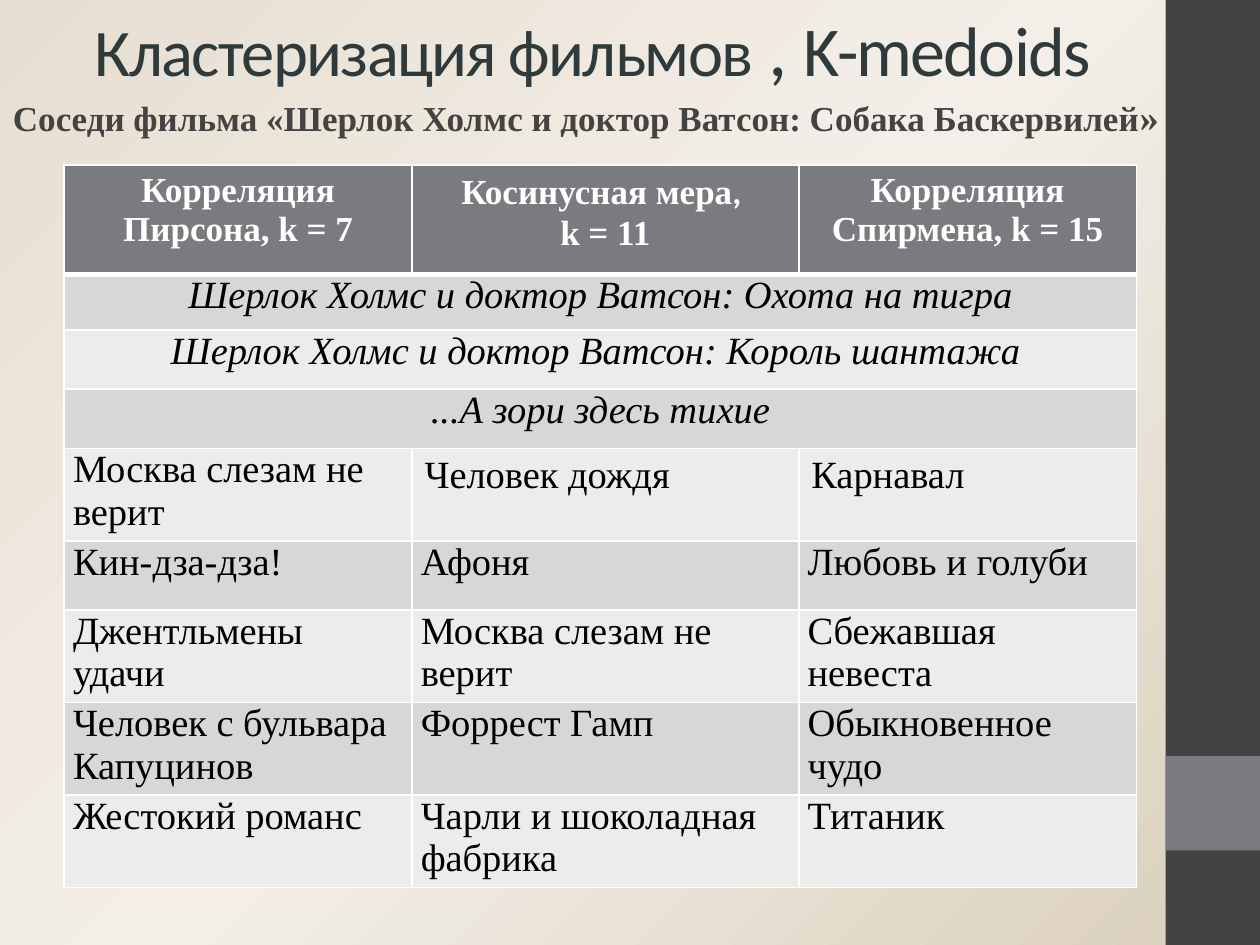
from lxml import etree
from pptx import Presentation, util as u
from pptx.dml.color import RGBColor
from pptx.enum import shapes, text
from pptx.oxml import parse_xml
from pptx.oxml.ns import nsdecls, qn

COLORS = {
    "title": "2E3A3C", "dark": "434342", "gray": "797B7E", "white": "FFFFFF",
    "black": "000000", "band": "D7D7D8", "light": "ECECEC",
}
BACKGROUND = [(0, "E7DED1"), (50, "F3EFE8"), (100, "DACEBB")]
SERIF, SANS = "Times New Roman", "Calibri"
CENTER, LEFT = text.PP_ALIGN.CENTER, text.PP_ALIGN.LEFT

HEADERS = [
    [[("Корреляция Пирсона, k = 7", SERIF)]],
    [[("Косинусная мера", SERIF), (", ", SANS)], [("k = 11", SERIF)]],
    [[("Корреляция Спирмена, k = 15", SERIF)]],
]
COMMON_FILMS = [
    "Шерлок Холмс и доктор Ватсон: Охота на тигра",
    "Шерлок Холмс и доктор Ватсон: Король шантажа ",
    "...А зори здесь тихие",
]
FILMS = [
    ["Москва слезам не верит", "Человек дождя", "Карнавал"],
    ["Кин-дза-дза!", "Афоня", "Любовь и голуби"],
    ["Джентльмены удачи", "Москва слезам не верит", "Сбежавшая невеста"],
    ["Человек с бульвара Капуцинов", "Форрест Гамп", "Обыкновенное чудо"],
    ["Жестокий романс", "Чарли и шоколадная фабрика", "Титаник"],
]
COLUMNS = [2.76, 3.07, 2.68]
ROWS = [0.87, 0.44, 0.47, 0.47] + [0.55] * len(FILMS)


def color(name):
    return RGBColor.from_string(COLORS[name])


class SlideBuilder:
    def __init__(self, page):
        self.page = page

    def style(self, font, size=None, ink=None, face=None, bold=None, italic=None):
        if size:
            font.size = u.Pt(size)
        if ink:
            font.color.rgb = color(ink)
        if face:
            font.name = face
        font.bold, font.italic = bold, italic

    def background(self, stops, angle):
        fill = self.page.background.fill
        fill.gradient()
        gradient = self.page.background._cSld.find(".//" + qn("a:gradFill"))
        for child in list(gradient):
            gradient.remove(child)
        stop_list = etree.SubElement(gradient, qn("a:gsLst"))
        for position, value in stops:
            stop = etree.SubElement(stop_list, qn("a:gs"), pos=str(position * 1000))
            etree.SubElement(stop, qn("a:srgbClr"), val=value)
        etree.SubElement(gradient, qn("a:lin"), ang=str(angle * 60000), scaled="0")

    def rectangle(self, place, fill):
        shape = self.page.shapes.add_shape(
            shapes.MSO_SHAPE.RECTANGLE, *map(u.Inches, place))
        shape.shadow.inherit = False
        shape.fill.solid()
        shape.fill.fore_color.rgb = color(fill)
        shape.line.fill.background()

    def textbox(self, place, spans, anchor, **style):
        box = self.page.shapes.add_textbox(*map(u.Inches, place))
        frame = box.text_frame
        frame.word_wrap = True
        frame.vertical_anchor = anchor
        para = frame.paragraphs[0]
        para.alignment = CENTER
        for words, size in spans:
            span = para.add_run()
            span.text = words
            self.style(span.font, size, **style)
        return para

    def text_shadow(self, para, spacing):
        for span in para.runs:
            props = span._r.get_or_add_rPr()
            props.set("spc", str(spacing * 100))
            effect = parse_xml(
                f'<a:effectLst {nsdecls("a")}><a:outerShdw blurRad="50800" dist="38100" '
                'dir="2700000"><a:srgbClr val="000000"><a:alpha val="40000"/>'
                '</a:srgbClr></a:outerShdw></a:effectLst>')
            props.find(qn("a:solidFill")).addnext(effect)

    def table(self, left, top, columns, rows):
        frame = self.page.shapes.add_table(
            len(rows), len(columns), u.Inches(left), u.Inches(top),
            u.Inches(sum(columns)), u.Inches(sum(rows)))
        table = frame.table
        for column, width in zip(table.columns, columns):
            column.width = u.Inches(width)
        for row, height in zip(table.rows, rows):
            row.height = u.Inches(height)
        return table

    def cell(self, cell, fill, bottom=1, top=1):
        cell.fill.solid()
        cell.fill.fore_color.rgb = color(fill)
        props = cell._tc.get_or_add_tcPr()
        widths = {"lnL": 1, "lnR": 1, "lnT": top, "lnB": bottom}
        for index, (side, width) in enumerate(widths.items()):
            props.insert(index, parse_xml(
                f'<a:{side} {nsdecls("a")} w="{u.Pt(width)}"><a:solidFill>'
                f'<a:srgbClr val="{COLORS["white"]}"/></a:solidFill></a:{side}>'))

    def cell_text(self, cell, words, align, tight=True, italic=False):
        if tight:
            cell.margin_left = cell.margin_right = u.Inches(0.07)
            cell.margin_top = cell.margin_bottom = 0
        para = cell.text_frame.paragraphs[0]
        para.add_run().text = words
        para.alignment = align
        self.style(para.font, 22, "black", SERIF, False, italic)

    def header_text(self, cell, lines):
        frame = cell.text_frame
        for index, line in enumerate(lines):
            para = frame.add_paragraph() if index else frame.paragraphs[0]
            para.alignment = CENTER
            self.style(para.font, 20, "white", bold=True)
            for words, face in line:
                span = para.add_run()
                span.text = words
                span.font.name = face


def main():
    deck = Presentation()
    deck.slide_width, deck.slide_height = u.Inches(10), u.Inches(7.5)
    page = deck.slides.add_slide(deck.slide_layouts[6])
    builder = SlideBuilder(page)

    # Background and side bar
    builder.background(BACKGROUND, 45)
    builder.rectangle((9.25, 0, 0.75, 7.5), "dark")
    builder.rectangle((9.25, 6, 0.75, 0.75), "gray")

    # Title and subtitle
    title = builder.textbox(
        (-0.12, -0.11, 9.65, 0.94),
        [("Кластеризация фильмов", 38), (" , ", 44), ("K-medoids", 40)],
        text.MSO_ANCHOR.MIDDLE, ink="title", face=SANS)
    builder.text_shadow(title, -1)
    builder.textbox(
        (-0.35, 0.6, 10, 0.55),
        [("Соседи фильма «Шерлок Холмс и доктор Ватсон: Собака Баскервилей", 20),
         ("»", 22)],
        text.MSO_ANCHOR.BOTTOM, ink="dark", face=SERIF, bold=True)

    # Table fills and borders
    table = builder.table(0.51, 1.31, COLUMNS, ROWS)
    for row in range(len(ROWS)):
        fill = "gray" if row == 0 else "band" if row % 2 else "light"
        for column in range(len(COLUMNS)):
            builder.cell(table.cell(row, column), fill,
                         bottom=3 if row == 0 else 1, top=3 if row == 1 else 1)

    # Header, films shared by all measures, then films per measure
    for column, lines in enumerate(HEADERS):
        builder.header_text(table.cell(0, column), lines)
    for row, film in enumerate(COMMON_FILMS, 1):
        table.cell(row, 0).merge(table.cell(row, len(COLUMNS) - 1))
        builder.cell_text(table.cell(row, 0), film, CENTER, italic=True)
    first = 1 + len(COMMON_FILMS)
    for row, films in enumerate(FILMS, first):
        for column, film in enumerate(films):
            builder.cell_text(table.cell(row, column), film, LEFT,
                              tight=row > first or column == 0)

    deck.save("out.pptx")


if __name__ == "__main__":
    main()
